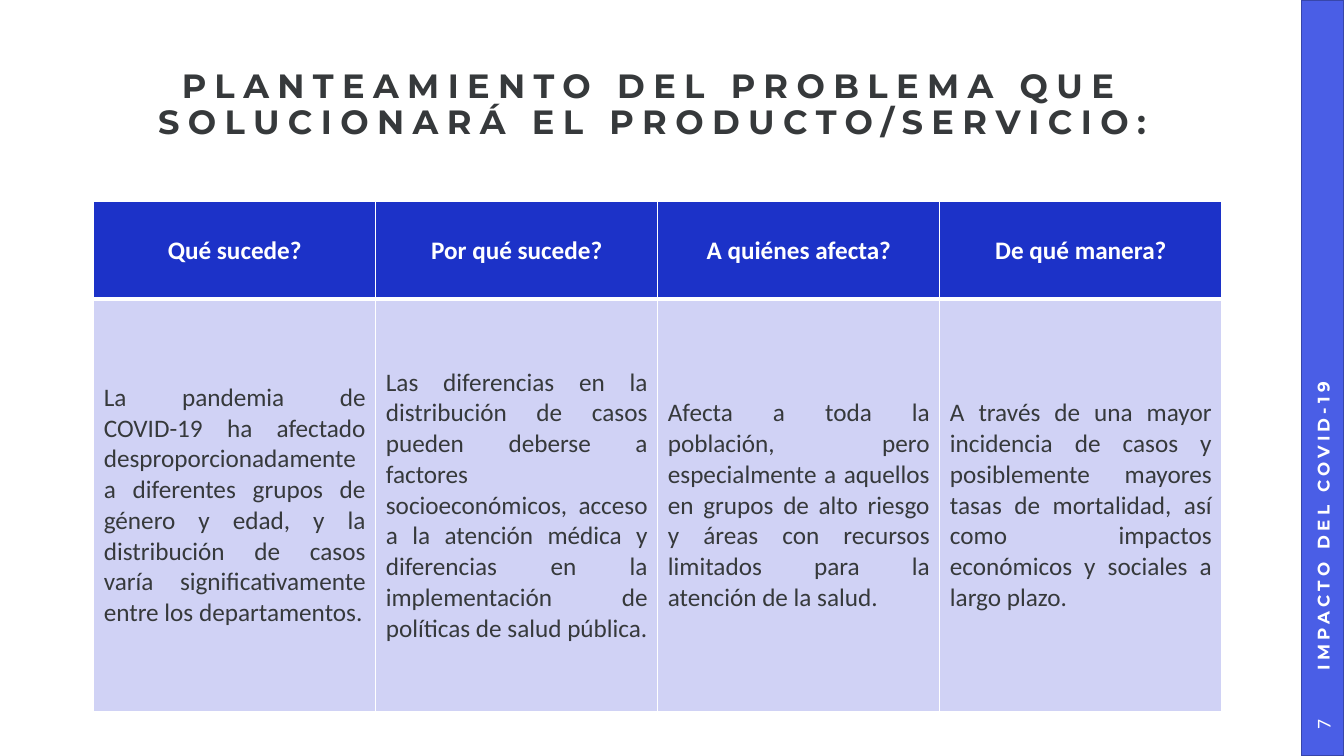
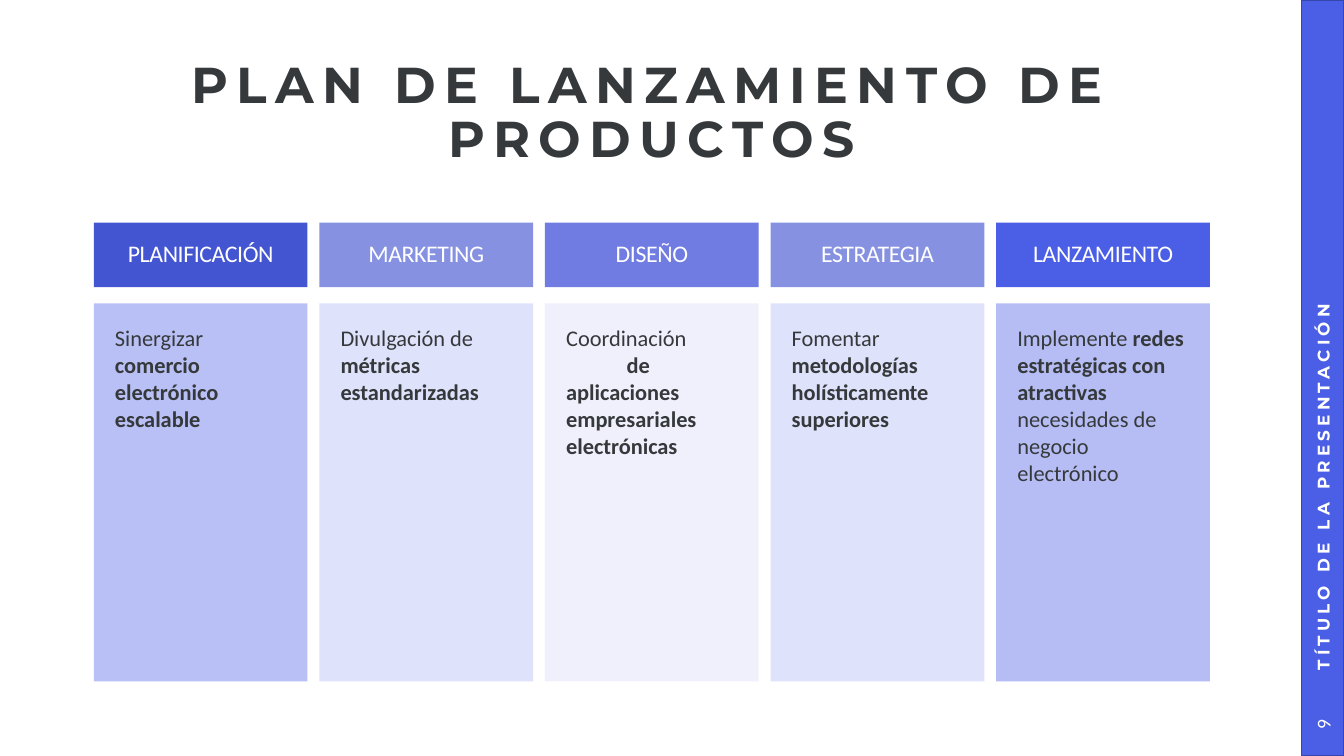
import pptx
import pptx.util
import pptx.dml.color
import pptx.enum.shapes
import pptx.enum.text
from dataclasses import dataclass
from lxml import etree

Inches = pptx.util.Inches
Pt = pptx.util.Pt
Align = pptx.enum.text.PP_ALIGN
Anchor = pptx.enum.text.MSO_ANCHOR
NS = "http://schemas.openxmlformats.org/drawingml/2006/main"


@dataclass(frozen=True)
class Theme:
    head: str = "Montserrat"
    body: str = "Calibri"
    ink: str = "36393B"
    white: str = "FFFFFF"
    band: str = "4A5EE6"
    edge: str = "3746AA"
    deep: str = "1C32C8"
    pale: str = "D0D2F5"
    royal: str = "4355D1"
    mid: str = "707CE1"
    sky: str = "929EF0"
    mist: str = "B7BFF5"
    haze: str = "DBDFFA"
    label: int = 12
    page: int = 14
    text: int = 16
    tag: int = 17
    cell: int = 18


T = Theme()


def rgb(code):
    return pptx.dml.color.RGBColor.from_string(code)


def sub(parent, tag, **attrs):
    return etree.SubElement(parent, f"{{{NS}}}{tag}", **attrs)


def write(frame, text, size=T.text, font=T.body, color=T.ink, bold=False,
          align=Align.LEFT, anchor=Anchor.MIDDLE, inset=None, space=0,
          lead=None, tab=None):
    """Fill a frame with a string or a list of (string, bold); "\\n" breaks the line."""
    frame.word_wrap = True
    frame.vertical_anchor = anchor
    if inset:
        (frame.margin_left, frame.margin_top,
         frame.margin_right, frame.margin_bottom) = map(Inches, inset)
    para = frame.paragraphs[0]
    para.alignment = align
    if lead:
        para.line_spacing = lead
    if tab:
        stops = sub(para._p.get_or_add_pPr(), "tabLst")
        sub(stops, "tab", pos=str(Inches(tab)), algn="l")
    runs = [(text, bold)] if isinstance(text, str) else text
    for words, heavy in runs:
        if words == "\n":
            para.add_line_break()
            continue
        run = para.add_run()
        run.text = words
        run.font.size, run.font.name, run.font.bold = Pt(size), font, heavy
        run.font.color.rgb = rgb(color)
        if space:
            run._r.get_or_add_rPr().set("spc", str(round(space * 100)))


def label(slide, box, text, turn=0, **fmt):
    shape = slide.shapes.add_textbox(*map(Inches, box))
    shape.rotation = turn
    write(shape.text_frame, text, **fmt)


def block(slide, box, fill, alpha=100, line=None):
    """Rectangle with a fill of the given opacity in percent."""
    kind = pptx.enum.shapes.MSO_SHAPE.RECTANGLE
    shape = slide.shapes.add_shape(kind, *map(Inches, box))
    shape.shadow.inherit = False
    shape.fill.solid()
    shape.fill.fore_color.rgb = rgb(fill)
    if alpha < 100:
        tone = shape._element.spPr.find(f".//{{{NS}}}srgbClr")
        sub(tone, "alpha", val=str(alpha * 1000))
    if line:
        shape.line.color.rgb = rgb(line)
        shape.line.width = Pt(1)
    else:
        shape.line.fill.background()
    return shape


def base(deck, title, box, size, side, page):
    """New slide with its title, side band, running label and page number."""
    slide = deck.slides.add_slide(deck.slide_layouts[6])
    block(slide, (12.91, 0, 0.42, 7.5), T.band, line=T.edge)
    label(slide, box, title, size=size, font=T.head, bold=True, space=6,
          align=Align.CENTER, lead=0.9, inset=(0, 0, 0, 0))
    label(slide, (9.68, 3.23, 6.88, 0.42), side, turn=270, size=T.label,
          font=T.head, color=T.white, bold=True, space=3,
          inset=(0.23, 0.05, 0.1, 0.05))
    label(slide, (12.81, 6.98, 0.62, 0.42), page, turn=270, size=T.page,
          color=T.white, align=Align.CENTER)
    return slide


def frame(cell, widths):
    """White borders; widths maps each side to points."""
    props = cell._tc.get_or_add_tcPr()
    for side, width in widths.items():
        line = sub(props, f"ln{side}", w=str(Pt(width)))
        sub(sub(line, "solidFill"), "srgbClr", val=T.white)


def grid(slide, box, heights, rows):
    shape = slide.shapes.add_table(len(rows), len(rows[0]), *map(Inches, box))
    table = shape.table
    table.first_row = table.horz_banding = False
    for col in table.columns:
        col.width = Inches(box[2] / len(rows[0]))
    for i, row in enumerate(rows):
        table.rows[i].height = Inches(heights[i])
        top = i == 0
        for j, text in enumerate(row):
            cell = table.cell(i, j)
            frame(cell, {"L": 1, "R": 1, "T": 3 if i == 1 else 1,
                         "B": 3 if top else 1})
            cell.fill.solid()
            cell.fill.fore_color.rgb = rgb(T.deep if top else T.pale)
            write(cell.text_frame, text, size=T.cell, bold=top,
                  color=T.white if top else T.ink,
                  align=Align.CENTER if top else Align.JUSTIFY)
            cell.vertical_anchor = Anchor.MIDDLE


def stage(slide, box, name, tag, fill, text):
    """Column with a heading tag above a tinted panel."""
    left, top, wide, high = box
    head, gap = 0.64, 0.16
    shape = block(slide, (left, top, wide, head), *tag)
    write(shape.text_frame, name, size=T.tag, color=T.white, lead=0.9,
          align=Align.CENTER, space=-0.3, inset=(0.17,) * 4)
    panel = (left, top + head + gap, wide, high - head - gap)
    shape = block(slide, panel, *fill)
    write(shape.text_frame, text, anchor=Anchor.TOP, inset=(0.21,) * 4,
          tab=0.6 if ("\n", False) in text else None)


def problem(deck):
    slide = base(deck, "PLANTEAMIENTO DEL PROBLEMA QUE SOLUCIONARÁ EL PRODUCTO/SERVICIO:",
                 (0.93, 0.43, 11.08, 1.24), 24, "IMPACTO DEL COVID-19", "7")
    grid(slide, (0.93, 2, 11.19, 5.06), (0.97, 4.09), [
        ["Qué sucede?", "Por qué sucede?", "A quiénes afecta?", "De qué manera?"],
        ["La pandemia de COVID-19 ha afectado desproporcionadamente a diferentes "
         "grupos de género y edad, y la distribución de casos varía "
         "significativamente entre los departamentos.",
         "Las diferencias en la distribución de casos pueden deberse a factores "
         "socioeconómicos, acceso a la atención médica y diferencias en la "
         "implementación de políticas de salud pública.",
         "Afecta a toda la población, pero especialmente a aquellos en grupos de "
         "alto riesgo y áreas con recursos limitados para la atención de la salud.",
         "A través de una mayor incidencia de casos y posiblemente mayores tasas "
         "de mortalidad, así como impactos económicos y sociales a largo plazo."],
    ])


def launch(deck):
    slide = base(deck, "PLAN DE LANZAMIENTO DE PRODUCTOS",
                 (0.93, 0.59, 11.07, 1.08), 36, "TÍTULO DE LA PRESENTACIÓN", "9")
    stages = [
        ("PLANIFICACIÓN", (T.royal,), (T.sky, 64),
         [("Sinergizar ", False), ("comercio electrónico escalable", True)]),
        ("MARKETING", (T.deep, 53), (T.mist, 45),
         [("Divulgación de ", False), ("métricas estandarizadas", True)]),
        ("DISEÑO", (T.mid,), (T.haze, 44),
         [("Coordinación", False), ("\n", False),
          ("\tde aplicaciones empresariales electrónicas", True)]),
        ("ESTRATEGIA", (T.deep, 53), (T.mist, 45),
         [("Fomentar ", False), ("metodologías holísticamente superiores", True)]),
        ("LANZAMIENTO", (T.band,), (T.sky, 68),
         [("Implemente ", False), ("redes estratégicas con atractivas", True),
          (" necesidades de negocio electrónico", False)]),
    ]
    left, wide, total = 0.93, 2.12, 11.07
    step = (total - wide) / (len(stages) - 1)
    for i, item in enumerate(stages):
        stage(slide, (left + i * step, 2.21, wide, 4.55), *item)


def main():
    deck = pptx.Presentation()
    deck.slide_width, deck.slide_height = Inches(13.33), Inches(7.5)
    problem(deck)
    launch(deck)
    deck.save("out.pptx")


if __name__ == "__main__":
    main()
